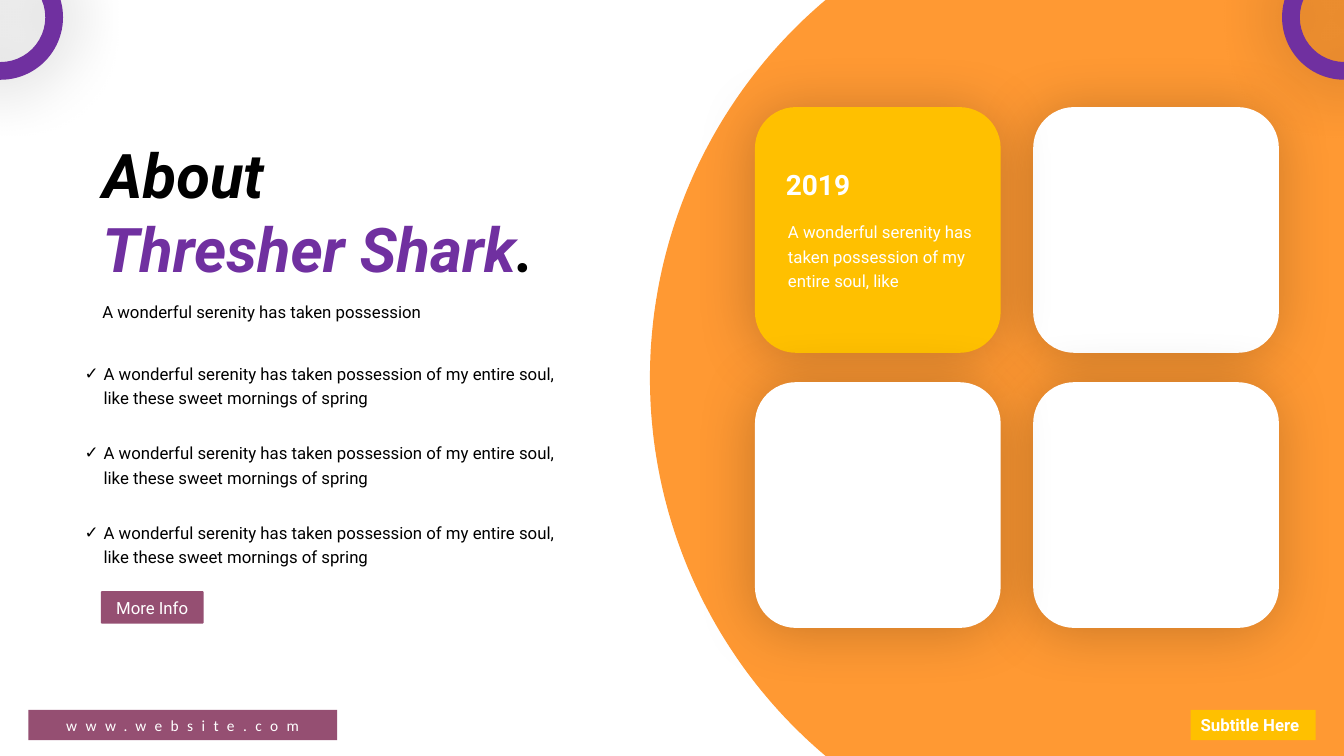
"""Build the Thresher Shark slide."""
from dataclasses import dataclass
from math import asin, cos, sin

from lxml.etree import SubElement
from pptx import Presentation
from pptx.dml.color import RGBColor
from pptx.enum.shapes import MSO_SHAPE
from pptx.enum.text import MSO_ANCHOR, MSO_AUTO_SIZE, PP_ALIGN
from pptx.oxml.ns import qn
from pptx.util import Pt

PX = 9525
WIDE, HIGH = 1280, 720


@dataclass(frozen=True)
class Theme:
    """Colours, fonts and type sizes of the slide."""
    black: str = "000000"
    white: str = "FFFFFF"
    orange: str = "FF9933"
    gold: str = "FFC000"
    purple: str = "7030A0"
    plum: str = "954F72"
    font: str = "Roboto"
    plain: str = "Calibri"
    title: int = 44
    year: int = 20
    body: int = 12
    site: int = 11


LOOK = Theme()


def scale(*sizes):
    """Turn pixels into EMU."""
    return [size * PX for size in sizes]


def paint(shape, color):
    """Give a shape a flat fill with no line or shadow."""
    shape.fill.solid()
    shape.fill.fore_color.rgb = RGBColor.from_string(color)
    shape.line.fill.background()
    shape.shadow.inherit = False


def shade(shape, blur, dist, angle, alpha):
    """Add a soft black outer shadow."""
    effects = shape._element.spPr.find(qn("a:effectLst"))
    outer = SubElement(effects, qn("a:outerShdw"), blurRad=str(Pt(blur)),
                       dist=str(Pt(dist)), dir=str(angle * 60000),
                       algn="ctr", rotWithShape="0")
    tint = SubElement(outer, qn("a:srgbClr"), val=LOOK.black)
    SubElement(tint, qn("a:alpha"), val=str(alpha * 1000))


def draw(slide, kind, box, color, bend=None):
    """Draw a preset shape in a pixel box."""
    shape = slide.shapes.add_shape(kind, *scale(*box))
    paint(shape, color)
    if bend is not None:
        shape.adjustments[0] = bend
    return shape


def write(shape, lines, size=LOOK.body, color=LOOK.black, font=LOOK.font,
          bold=False, italic=False, align=PP_ALIGN.LEFT, leading=1.0, gap=0,
          track=0, bullet=None, hang=0, anchor=MSO_ANCHOR.TOP, wrap=True):
    """Fill a shape with lines, each a list of (text, colour) runs or a string."""
    frame = shape.text_frame
    frame.word_wrap = wrap
    frame.auto_size = MSO_AUTO_SIZE.NONE
    frame.vertical_anchor = anchor
    frame.margin_left = frame.margin_right = Pt(7.2)
    frame.margin_top = frame.margin_bottom = Pt(3.6)
    for index, line in enumerate(lines):
        para = frame.add_paragraph() if index else frame.paragraphs[0]
        if bullet:
            props = para._p.get_or_add_pPr()
            props.set("marL", str(hang * PX))
            props.set("indent", str(-hang * PX))
            SubElement(props, qn("a:buChar"), char=bullet)
        para.alignment = align
        para.line_spacing = leading
        para.space_before = Pt(gap if index else 0)
        for words, tint in [(line, color)] if isinstance(line, str) else line:
            run = para.add_run()
            run.text = words
            run.font.name, run.font.size = font, Pt(size)
            run.font.bold, run.font.italic = bold, italic
            run.font.color.rgb = RGBColor.from_string(tint)
            if track:
                run._r.get_or_add_rPr().set("spc", str(track * 100))


def label(slide, box, words, **style):
    """Add a text box in a pixel box."""
    write(slide.shapes.add_textbox(*scale(*box)), [words], **style)


def place(holder, box):
    """Move a placeholder to a pixel box."""
    holder.left, holder.top, holder.width, holder.height = scale(*box)
    return holder


def disc(slide, box, radius=471, steps=120):
    """Draw the orange field with its round left edge."""
    left, top, width, height = box
    mid, half = top + height / 2, asin(height / 2 / radius)
    turns = [half - 2 * half * step / steps for step in range(steps + 1)]
    edge = [(left + radius * (1 - cos(turn)), mid + radius * sin(turn))
            for turn in turns]
    right = left + width
    path = slide.shapes.build_freeform(*scale(right, top), scale=1.0)
    corners = [(right, top + height), *edge]
    path.add_line_segments([scale(*spot) for spot in corners], close=True)
    paint(path.convert_to_shape(), LOOK.orange)


def cards(slide, box, side=234):
    """Draw the two by two cards and the text of the first."""
    left, top, width, height = box
    for col in (1, 0):
        for row in (0, 1):
            spot = (left + col * (width - side), top + row * (height - side))
            color = LOOK.white if col or row else LOOK.gold
            card = draw(slide, MSO_SHAPE.ROUNDED_RECTANGLE,
                        (*spot, side, side), color)
            shade(card, 42, 3, 135, 21)
    label(slide, (left + 22, top + 101, 198, 78),
          "A wonderful serenity has taken possession of my entire soul, like",
          color=LOOK.white, leading=1.2)
    label(slide, (left + 20, top + 53, 174, 42), "2019", size=LOOK.year,
          color=LOOK.white, bold=True)


def about(slide, box):
    """Set the title, lead line, list and button."""
    left, top, width, height = box
    write(place(slide.shapes.title, (left + 17, top, 501, 152)),
          ["About", [("Thresher Shark", LOOK.purple), (".", LOOK.black)]],
          size=LOOK.title, bold=True, italic=True)
    label(slide, (left + 17, top + 147, 424, 36),
          "A wonderful serenity has taken possession", leading=1.5)
    point = ("A wonderful serenity has taken possession of my entire soul, "
             "like these sweet mornings of spring")
    write(place(slide.placeholders[1], (left, top + 212, 480, 204)),
          [point] * 3, leading=1.2, gap=22, bullet="✓", hang=18)
    button = draw(slide, MSO_SHAPE.ROUNDED_RECTANGLE,
                  (left + 25, top + height - 31, 98, 31), LOOK.plum, 0.042)
    write(button, ["More Info"], color=LOOK.white, align=PP_ALIGN.CENTER,
          anchor=MSO_ANCHOR.MIDDLE)


def footer(slide, box):
    """Draw the web address and subtitle tags at both ends."""
    left, top, width, height = box
    tag = draw(slide, MSO_SHAPE.RECTANGLE,
               (left + width - 119, top, 119, height), LOOK.gold)
    write(tag, ["Subtitle Here"], color=LOOK.white, bold=True, wrap=False)
    site = draw(slide, MSO_SHAPE.RECTANGLE, (left, top, 294, height), LOOK.plum)
    write(site, ["www.website.com"], size=LOOK.site, color=LOOK.white,
          font=LOOK.plain, align=PP_ALIGN.CENTER, track=6,
          anchor=MSO_ANCHOR.MIDDLE)


def rings(slide, box):
    """Draw a ring on each top corner."""
    left, top, width, side = box
    for mid in (left, left + width):
        ring = draw(slide, MSO_SHAPE.DONUT,
                    (mid - side // 2, top, side, side), LOOK.purple, 0.142)
        shade(ring, 49, 0, 0, 33)


def main():
    """Build and save the slide."""
    deck = Presentation()
    deck.slide_width, deck.slide_height = scale(WIDE, HIGH)
    slide = deck.slides.add_slide(deck.slide_layouts[1])
    disc(slide, (619, 0, WIDE - 619, HIGH))
    cards(slide, (719, 102, 499, 496))
    about(slide, (71, 126, 518, 468))
    footer(slide, (27, 676, 1226, 29))
    rings(slide, (0, -43, WIDE, 119))
    deck.save("out.pptx")


if __name__ == "__main__":
    main()
